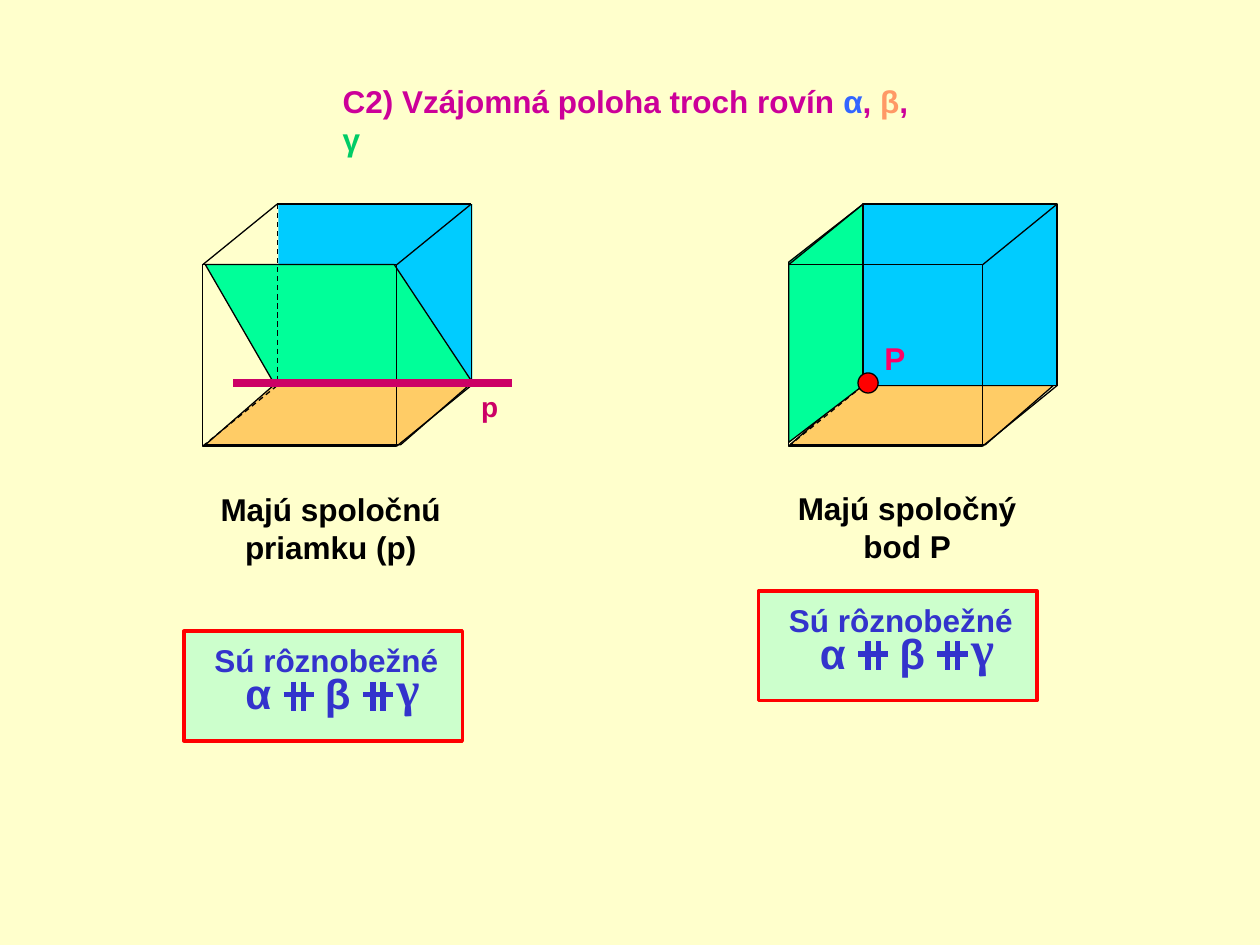
from pptx import Presentation
from pptx.dml.color import RGBColor
from pptx.enum.dml import MSO_LINE
from pptx.enum.shapes import MSO_CONNECTOR, MSO_SHAPE
from pptx.enum.text import MSO_ANCHOR, MSO_AUTO_SIZE, PP_ALIGN
from pptx.oxml.ns import qn
from pptx.util import Inches, Pt
from lxml.etree import SubElement

CREAM = RGBColor(0xFF, 0xFF, 0xCC)
BLACK = RGBColor(0x00, 0x00, 0x00)
RED = RGBColor(0xFF, 0x00, 0x00)
PINK = RGBColor(0xFF, 0x00, 0x66)
CRIMSON = RGBColor(0xCC, 0x00, 0x66)
MAGENTA = RGBColor(0xCC, 0x00, 0x99)
INDIGO = RGBColor(0x33, 0x33, 0xCC)
MINT = RGBColor(0xCC, 0xFF, 0xCC)
PLANE_BLUE = RGBColor(0x00, 0xCC, 0xFF)
PLANE_ORANGE = RGBColor(0xFF, 0xCC, 0x66)
PLANE_GREEN = RGBColor(0x00, 0xFF, 0x99)
ALPHA_BLUE = RGBColor(0x33, 0x66, 0xFF)
BETA_ORANGE = RGBColor(0xFF, 0x99, 0x66)
GAMMA_GREEN = RGBColor(0x00, 0xCC, 0x66)

FRONT, DEPTH_X, DEPTH_Y, HEIGHT = 1.54, 0.59, 0.48, 1.44
CUBE_TOP = 1.62


def style_shape(sp, fill, line, width):
    sp.shadow.inherit = False
    if fill is None:
        sp.fill.background()
    else:
        sp.fill.solid()
        sp.fill.fore_color.rgb = fill
    if line is None:
        sp.line.fill.background()
    else:
        sp.line.color.rgb = line
        sp.line.width = Pt(width)


def add_preset(shapes, kind, box, fill=None, line=BLACK, width=0.75):
    sp = shapes.add_shape(kind, *map(Inches, box))
    style_shape(sp, fill, line, width)


def add_plane(shapes, points, fill):
    (x, y), *rest = [(Inches(px), Inches(py)) for px, py in points]
    builder = shapes.build_freeform(x, y)
    builder.add_line_segments(rest, close=True)
    style_shape(builder.convert_to_shape(), fill, BLACK, 0.75)


def add_line(shapes, start, end, color=BLACK, width=0.75, dashed=False):
    line = shapes.add_connector(MSO_CONNECTOR.STRAIGHT, *map(Inches, (*start, *end)))
    line.line.color.rgb = color
    line.line.width = Pt(width)
    if dashed:
        line.line.dash_style = MSO_LINE.DASH
    SubElement(line._element.spPr, qn("a:effectLst"))


def add_run(p, text, color, size=18, name="Arial"):
    r = p.add_run()
    r.text = text
    for key, value in {"name": name, "size": Pt(size), "bold": True}.items():
        setattr(r.font, key, value)
    r.font.color.rgb = color


def add_text(shapes, box, lines, color, size=18, name="Arial",
             align=PP_ALIGN.LEFT, wrap=False):
    tf = shapes.add_textbox(*map(Inches, box)).text_frame
    tf.word_wrap = wrap
    for i, text in enumerate(lines):
        p = tf.add_paragraph() if i else tf.paragraphs[0]
        p.alignment = align
        add_run(p, text, color, size, name)


def add_title(slide):
    title = slide.shapes.title
    place = {"left": 2.62, "top": 0.6, "width": 4.89, "height": 0.4}
    for key, value in place.items():
        setattr(title, key, Inches(value))
    tf = title.text_frame
    frame = {"word_wrap": False, "auto_size": MSO_AUTO_SIZE.NONE,
             "vertical_anchor": MSO_ANCHOR.TOP}
    for key, value in frame.items():
        setattr(tf, key, value)
    p = tf.paragraphs[0]
    p.alignment = PP_ALIGN.LEFT
    for text, color in (("C2) Vzájomná poloha troch rovín ", MAGENTA),
                        ("α", ALPHA_BLUE), (", ", MAGENTA),
                        ("β", BETA_ORANGE), (", ", MAGENTA),
                        ("γ", GAMMA_GREEN)):
        add_run(p, text, color)


def add_cube(shapes, x):
    """Wireframe cube, with the three hidden edges dashed."""
    cube = shapes.add_group_shape().shapes
    back_left, back_right = x + DEPTH_X, x + DEPTH_X + FRONT
    front_top, back_bottom = CUBE_TOP + DEPTH_Y, CUBE_TOP + HEIGHT
    front_right, front_bottom = x + FRONT, front_top + HEIGHT
    hidden_corner = (back_left, back_bottom)
    far_top_left, far_top_right = (back_left, CUBE_TOP), (back_right, CUBE_TOP)
    far_bottom_right = (back_right, back_bottom)
    add_preset(cube, MSO_SHAPE.RECTANGLE, (x, front_top, FRONT, HEIGHT))
    for start, end in (((front_right, front_bottom), far_bottom_right),
                       (far_top_right, far_bottom_right),
                       (far_top_left, far_top_right),
                       ((x, front_top), far_top_left),
                       ((front_right, front_top), far_top_right)):
        add_line(cube, start, end)
    for corner in (far_bottom_right, far_top_left, (x, front_bottom)):
        add_line(cube, corner, hidden_corner, dashed=True)


def add_base_plane(shapes, x):
    add_plane(shapes, [(x, 3.53), (x + 0.54, 3.06), (x + 2.09, 3.06),
                       (x + 1.55, 3.53)], PLANE_ORANGE)


def add_intersecting_sign(shapes, x, y):
    """Two upright bars crossed by one level bar."""
    for bar_x in (x + 0.08, x + 0.16):
        add_line(shapes, (bar_x, y), (bar_x, y + 0.23), INDIGO, 3)
    add_line(shapes, (x, y + 0.1), (x + 0.24, y + 0.1), INDIGO, 3)


def add_relation(shapes, x, y):
    add_preset(shapes, MSO_SHAPE.RECTANGLE, (x, y, 2.21, 0.87), MINT, RED, 2)
    add_text(shapes, (x + 0.14, y + 0.03, 1.98, 0.4), ["Sú rôznobežné"],
             INDIGO, align=PP_ALIGN.CENTER)
    for i, letter in enumerate("αβ"):
        step = 0.63 * i
        add_text(shapes, (x + 0.39 + step, y + 0.24, 0.4, 0.5), [letter], INDIGO, 24)
        add_intersecting_sign(shapes, x + 0.79 + step, y + 0.4)
    add_text(shapes, (x + 1.59, y + 0.16, 0.38, 0.57), ["γ"], INDIGO, 28,
             "Times New Roman")


def add_caption(shapes, box, lines):
    add_text(shapes, box, lines, BLACK, align=PP_ALIGN.CENTER, wrap=True)


def add_common_line(shapes):
    add_preset(shapes, MSO_SHAPE.RECTANGLE, (2.21, CUBE_TOP, FRONT, HEIGHT),
               PLANE_BLUE, None)
    add_base_plane(shapes, 1.63)
    add_plane(shapes, [(1.63, 2.1), (3.13, 2.1), (3.76, 3.05), (2.18, 3.05)],
              PLANE_GREEN)
    add_cube(shapes, 1.61)
    add_line(shapes, (1.85, 3.04), (4.06, 3.04), CRIMSON, 4.5)
    add_text(shapes, (3.72, 3.04, 0.33, 0.37), ["p"], CRIMSON, 16)
    add_caption(shapes, (1.38, 3.84, 2.49, 0.7), ["Majú spoločnú", "priamku (p)"])
    add_relation(shapes, 1.46, 5.01)


def add_common_point(shapes):
    add_base_plane(shapes, 6.27)
    add_plane(shapes, [(6.85, 1.62), (6.85, 3.06), (6.26, 3.51), (6.26, 2.08)],
              PLANE_GREEN)
    add_preset(shapes, MSO_SHAPE.RECTANGLE, (6.85, CUBE_TOP, FRONT, HEIGHT),
               PLANE_BLUE)
    add_cube(shapes, 6.26)
    add_preset(shapes, MSO_SHAPE.OVAL, (6.81, 2.96, 0.16, 0.16), RED)
    add_text(shapes, (6.92, 2.64, 0.36, 0.4), ["P"], PINK)
    add_caption(shapes, (6.02, 3.83, 2.36, 0.7), ["Majú spoločný", "bod P"])
    add_relation(shapes, 6.02, 4.69)


def main():
    prs = Presentation()
    prs.slide_width, prs.slide_height = Inches(10), Inches(7.5)
    slide = prs.slides.add_slide(prs.slide_layouts[5])
    slide.background.fill.solid()
    slide.background.fill.fore_color.rgb = CREAM
    add_title(slide)
    add_common_line(slide.shapes)
    add_common_point(slide.shapes)
    prs.save("out.pptx")


if __name__ == "__main__":
    main()
